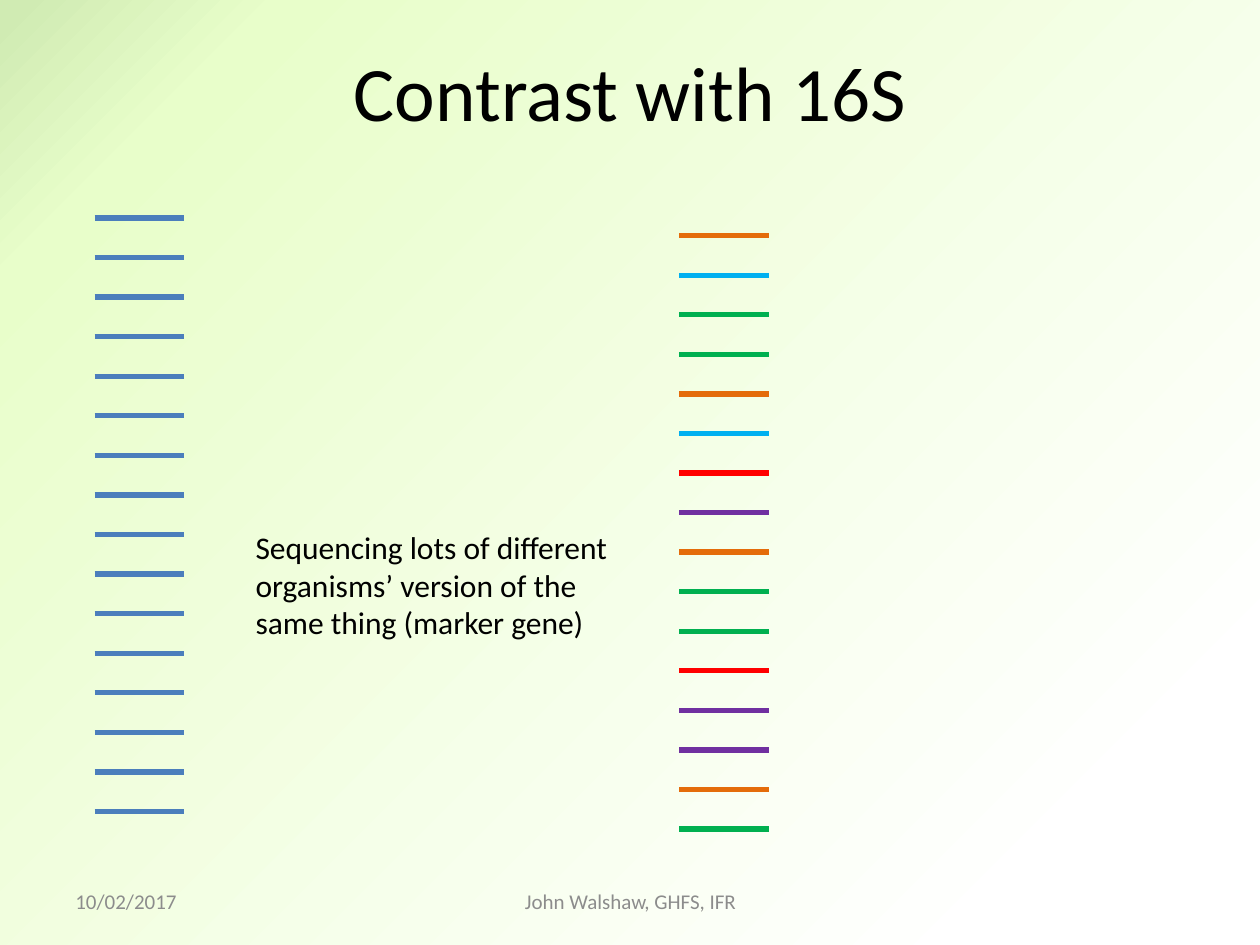
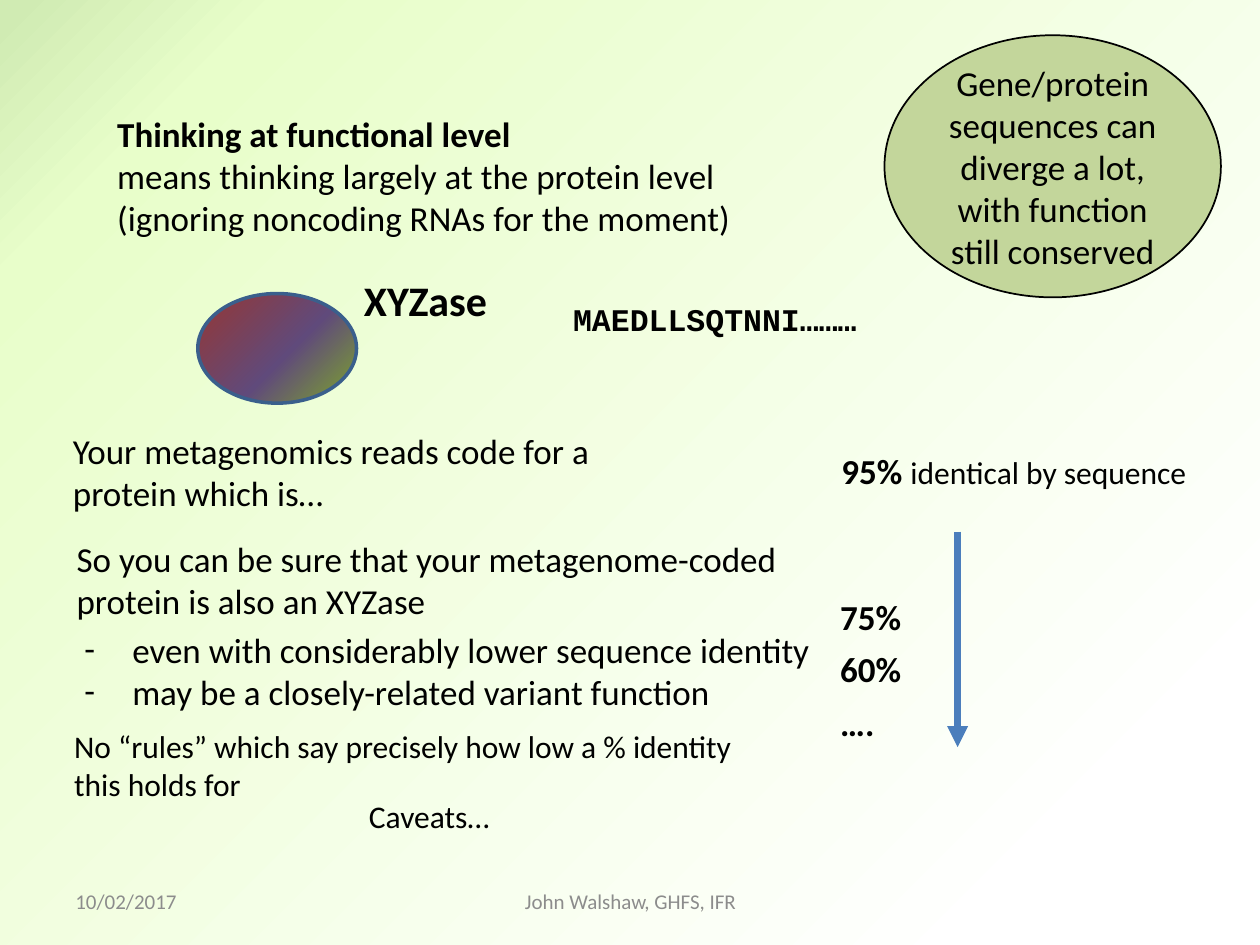
from dataclasses import dataclass

from lxml.etree import SubElement
from pptx import Presentation
from pptx.dml.color import RGBColor
from pptx.enum.shapes import MSO_CONNECTOR, MSO_SHAPE
from pptx.enum.text import MSO_ANCHOR, MSO_AUTO_SIZE, PP_ALIGN
from pptx.oxml.ns import qn
from pptx.util import Inches, Pt

BLACK, GREY, BLUE, OLIVE = "000000", "8C8C8C", "4B7EBC", "C3D69B"
ORANGE, SKY, GREEN, RED, PURPLE = "E46C0A", "00B0F0", "00B050", "FF0000", "7030A0"
BACKGROUND = ((1, "D0EBB3"), (13, "E8FECA"), (87, "FFFFFF"))
ENZYME_GRADIENT = ((1, "953735"), (56, "604A7B"), (91, "77933C"))
ENZYME_OUTLINE = "3A5F8C"

READ_LENGTH = 0.71
READ_GAP = 0.314
MARKER_READS = (BLUE,) * 16
ORGANISM_READS = (
    ORANGE, SKY, GREEN, GREEN, ORANGE, SKY, RED, PURPLE,
    ORANGE, GREEN, GREEN, RED, PURPLE, PURPLE, ORANGE, GREEN,
)


@dataclass(frozen=True)
class Run:
    text: str
    size: float = 20
    bold: bool = False
    font: str = "Calibri"
    color: str = BLACK


@dataclass(frozen=True)
class Box:
    left: float
    top: float
    width: float
    height: float

    def lengths(self) -> tuple:
        return tuple(Inches(n) for n in (self.left, self.top, self.width, self.height))


@dataclass(frozen=True)
class Label:
    """A text box whose lines are each a tuple of runs."""
    box: Box
    lines: tuple
    wrap: bool = False
    align: PP_ALIGN = PP_ALIGN.LEFT
    anchor: MSO_ANCHOR = MSO_ANCHOR.TOP


def lines_of(*texts: str, **style) -> tuple:
    return tuple((Run(text, **style),) for text in texts)


FOOTERS = (
    Label(Box(0.5, 6.95, 2.33, 0.4), lines_of("10/02/2017", size=12, color=GREY),
          wrap=True, anchor=MSO_ANCHOR.MIDDLE),
    Label(Box(3.42, 6.95, 3.17, 0.4), lines_of("John Walshaw, GHFS, IFR", size=12, color=GREY),
          wrap=True, align=PP_ALIGN.CENTER, anchor=MSO_ANCHOR.MIDDLE),
)

MARKER_NOTE = Label(
    Box(1.93, 4.14, 3.03, 1.01),
    lines_of("Sequencing lots of different", "organisms’ version of the",
             "same thing (marker gene)", size=18),
)

FUNCTION_LABELS = (
    Label(Box(2.79, 2.13, 1.23, 0.5), lines_of("XYZase", size=24, bold=True), wrap=True),
    Label(Box(4.45, 2.33, 2.73, 0.4),
          lines_of("MAEDLLSQTNNI………", size=18, bold=True, font="Courier New"), wrap=True),
    Label(Box(0.48, 3.36, 5.15, 0.77),
          lines_of("Your metagenomics reads code for a protein which is…"), wrap=True),
    Label(Box(6.58, 3.52, 2.97, 0.44),
          ((Run("95% ", bold=True), Run("identical by sequence", size=18)),)),
    Label(Box(0.51, 4.22, 5.8, 0.77),
          lines_of("So you can be sure that your metagenome-coded", "protein is also an XYZase")),
    Label(Box(6.57, 4.68, 0.69, 0.44), lines_of("75%", bold=True)),
    Label(Box(6.57, 5.09, 0.69, 0.44), lines_of("60%", bold=True)),
    Label(Box(6.57, 5.52, 0.48, 0.44), lines_of("….", bold=True)),
    Label(Box(0.49, 5.72, 5.48, 0.71),
          lines_of("No “rules” which say precisely how low a % identity", "this holds for", size=18)),
    Label(Box(2.83, 6.28, 1.18, 0.4), lines_of("Caveats…", size=18)),
)


def rgb(color: str) -> RGBColor:
    return RGBColor.from_string(color)


def fill_gradient(fill, element, stops: tuple) -> None:
    """Fill with a gradient running from top left to bottom right."""
    fill.gradient()
    fill.gradient_angle = 315
    stop_list = element.find(".//" + qn("a:gsLst"))
    for stop in list(stop_list):
        stop_list.remove(stop)
    for percent, color in stops:
        stop = SubElement(stop_list, qn("a:gs"), pos=str(percent * 1000))
        SubElement(stop, qn("a:srgbClr"), val=color)


def write_lines(text_frame, lines: tuple, align=PP_ALIGN.LEFT, anchor=MSO_ANCHOR.TOP) -> None:
    text_frame.vertical_anchor = anchor
    for index, runs in enumerate(lines):
        paragraph = text_frame.add_paragraph() if index else text_frame.paragraphs[0]
        paragraph.alignment = align
        paragraph.space_before = Pt(0)
        for item in runs:
            run = paragraph.add_run()
            run.text = item.text
            run.font.name = item.font
            run.font.size = Pt(item.size)
            run.font.bold = item.bold
            run.font.color.rgb = rgb(item.color)


def add_label(slide, label: Label) -> None:
    text_frame = slide.shapes.add_textbox(*label.box.lengths()).text_frame
    text_frame.word_wrap = label.wrap
    write_lines(text_frame, label.lines, label.align, label.anchor)


def fill_placeholder(placeholder, box: Box, lines: tuple, align=PP_ALIGN.LEFT) -> None:
    placeholder.left, placeholder.top, placeholder.width, placeholder.height = box.lengths()
    placeholder.text_frame.auto_size = MSO_AUTO_SIZE.NONE
    placeholder.text_frame.word_wrap = True
    write_lines(placeholder.text_frame, lines, align)


def set_dash_bullets(text_frame) -> None:
    for paragraph in text_frame.paragraphs:
        properties = paragraph._p.get_or_add_pPr()
        properties.set("marL", str(Inches(0.38)))
        properties.set("indent", str(Inches(-0.38)))
        SubElement(properties, qn("a:buFont"), typeface="Calibri")
        SubElement(properties, qn("a:buChar"), char="-")


def add_line(slide, start: tuple, end: tuple, color: str, width: float, arrow: bool = False) -> None:
    points = (Inches(n) for n in (*start, *end))
    connector = slide.shapes.add_connector(MSO_CONNECTOR.STRAIGHT, *points)
    connector.line.color.rgb = rgb(color)
    connector.line.width = Pt(width)
    if arrow:
        SubElement(connector.line._get_or_add_ln(), qn("a:tailEnd"), type="triangle")
    SubElement(connector.element.spPr, qn("a:effectLst"))


def add_ellipse(slide, box: Box, line_color: str, line_width: float):
    ellipse = slide.shapes.add_shape(MSO_SHAPE.OVAL, *box.lengths())
    ellipse.shadow.inherit = False
    ellipse.line.color.rgb = rgb(line_color)
    ellipse.line.width = Pt(line_width)
    return ellipse


def add_read_stack(slide, left: float, top: float, colors: tuple) -> None:
    for index, color in enumerate(colors):
        y = top + index * READ_GAP
        add_line(slide, (left, y), (left + READ_LENGTH, y), color, 3)


def add_slide(presentation, layout_name: str):
    slide = presentation.slides.add_slide(presentation.slide_layouts.get_by_name(layout_name))
    for footer in FOOTERS:
        add_label(slide, footer)
    return slide


def build_contrast_slide(presentation) -> None:
    slide = add_slide(presentation, "Title Only")
    fill_placeholder(slide.shapes.title, Box(0.5, 0.3, 9, 1.25),
                     lines_of("Contrast with 16S", size=44), PP_ALIGN.CENTER)
    add_read_stack(slide, 0.75, 1.73, MARKER_READS)
    add_read_stack(slide, 5.39, 1.87, ORGANISM_READS)
    add_label(slide, MARKER_NOTE)


def build_function_slide(presentation) -> None:
    slide = add_slide(presentation, "Title and Content")
    fill_placeholder(
        slide.shapes.title, Box(0.83, 0.84, 5.6, 1.11),
        lines_of("Thinking at functional level", bold=True)
        + lines_of("means thinking largely at the protein level",
                   "(ignoring noncoding RNAs for the moment)"),
    )
    body = slide.placeholders[1]
    fill_placeholder(body, Box(0.57, 4.94, 6.01, 0.77),
                     lines_of("even with considerably lower sequence identity",
                              "may be a closely-related variant function"))
    set_dash_bullets(body.text_frame)

    enzyme = add_ellipse(slide, Box(1.57, 2.33, 1.26, 0.87), ENZYME_OUTLINE, 2)
    fill_gradient(enzyme.fill, enzyme.element, ENZYME_GRADIENT)
    for label in FUNCTION_LABELS:
        add_label(slide, label)
    add_line(slide, (7.6, 4.22), (7.6, 5.93), BLUE, 4, arrow=True)

    callout = add_ellipse(slide, Box(7.02, 0.28, 2.67, 2.08), BLACK, 1)
    callout.fill.solid()
    callout.fill.fore_color.rgb = rgb(OLIVE)
    write_lines(
        callout.text_frame,
        lines_of("Gene/protein sequences can diverge a lot, with function still conserved"),
        PP_ALIGN.CENTER, MSO_ANCHOR.MIDDLE,
    )


def main() -> None:
    presentation = Presentation()
    presentation.slide_width, presentation.slide_height = Inches(10), Inches(7.5)
    master = presentation.slide_master
    fill_gradient(master.background.fill, master.element, BACKGROUND)
    build_contrast_slide(presentation)
    build_function_slide(presentation)
    presentation.save("out.pptx")


if __name__ == "__main__":
    main()
